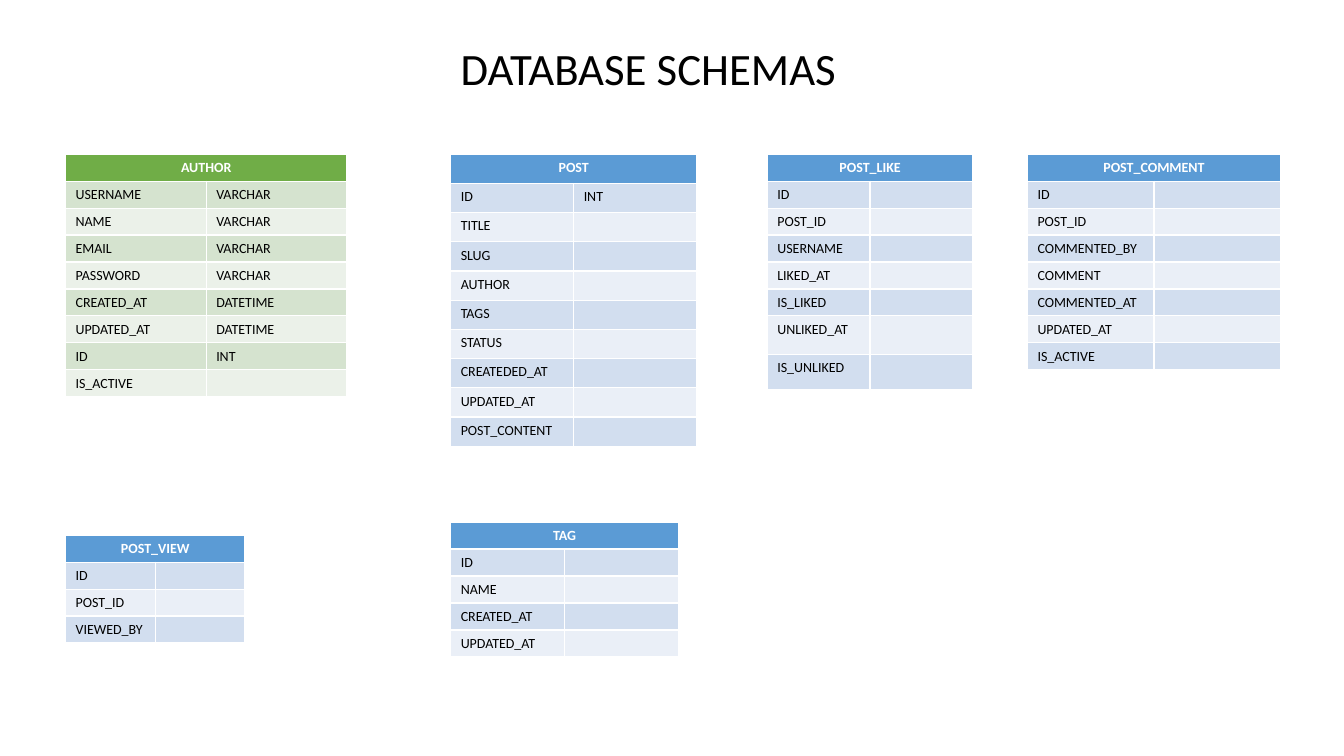
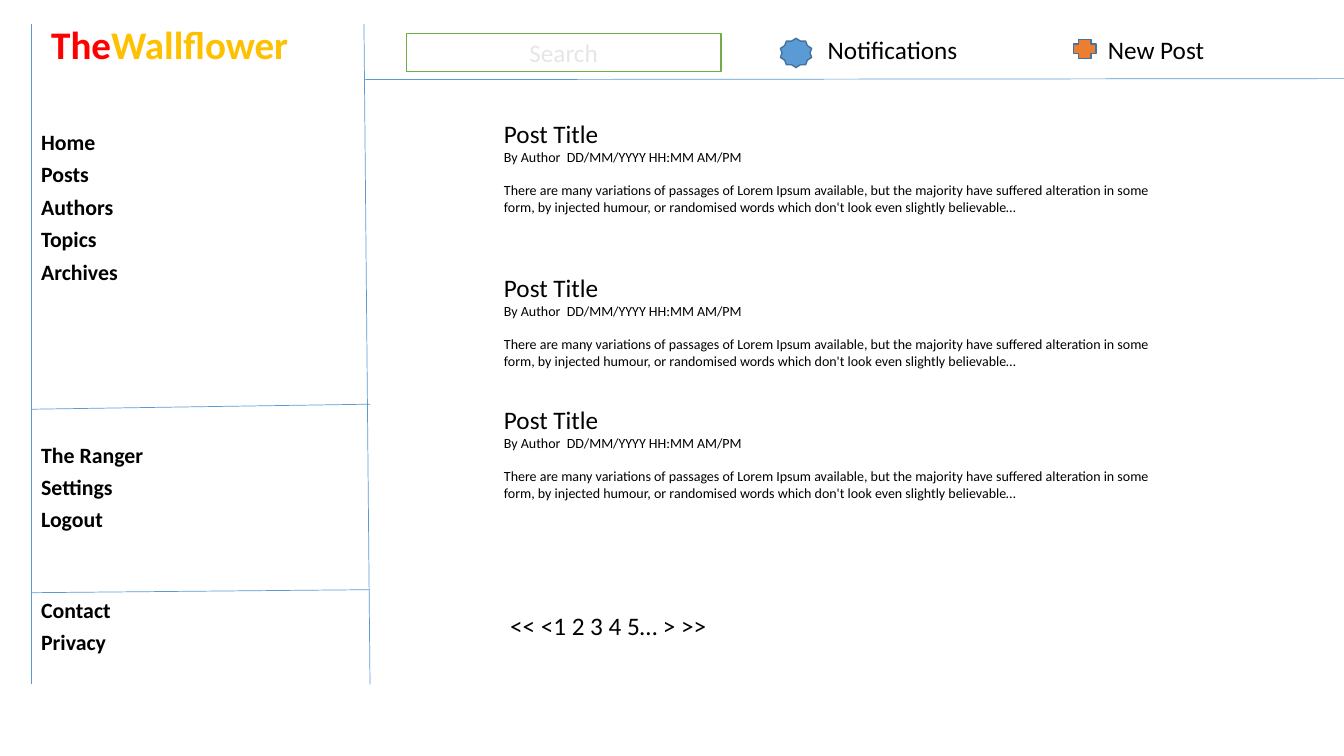
from pptx import Presentation
from pptx.dml.color import RGBColor as RGB
from pptx.enum.shapes import MSO_CONNECTOR as CONN, MSO_SHAPE as SHAPE
from pptx.enum.text import PP_ALIGN as ALIGN
from pptx.oxml.ns import qn
from pptx.util import Inches, Pt
from lxml import etree

FONT = "Calibri"
BLACK = RGB(0x00, 0x00, 0x00)
WHITE = RGB(0xFF, 0xFF, 0xFF)
BLUE = RGB(0x5B, 0x9B, 0xD5)
NAVY = RGB(0x43, 0x73, 0x9E)
GREEN = RGB(0x70, 0xAD, 0x47)
ORANGE = RGB(0xED, 0x7D, 0x31)
RED = RGB(0xFF, 0x00, 0x00)
GOLD = RGB(0xFF, 0xC0, 0x00)
GRAY = RGB(0xE7, 0xE6, 0xE6)
# Header, odd row, even row
BLUES = (BLUE, RGB(0xD2, 0xDE, 0xEF), RGB(0xEA, 0xEF, 0xF7))
GREENS = (GREEN, RGB(0xD5, 0xE3, 0xCF), RGB(0xEB, 0xF1, 0xE9))


def style(para, size, color=BLACK, bold=False):
    font = para.font
    font.name, font.size, font.bold = FONT, Pt(size), bold
    font.color.rgb = color


def write(slide, x, y, w, h, lines, size, bold=False):
    box = slide.shapes.add_textbox(Inches(x), Inches(y), Inches(w), Inches(h))
    frame = box.text_frame
    frame.word_wrap = True
    frame.text = "\n".join(lines)
    for para in frame.paragraphs:
        style(para, size, bold=bold)
    return frame.paragraphs


prs = Presentation()
prs.slide_width, prs.slide_height = Inches(13.33), Inches(7.5)
blank = prs.slide_layouts[6]

# Slide 1: database schemas
slide = prs.slides.add_slide(blank)
write(slide, 4.47, 0.35, 5.05, 1.18, ["DATABASE SCHEMAS"], 32)

# Name, left, top, width, row height, colours, fields, types
schemas = [
    ("AUTHOR", 0.65, 1.53, 2.79, 0.26, GREENS,
     "USERNAME NAME EMAIL PASSWORD CREATED_AT UPDATED_AT ID IS_ACTIVE",
     "VARCHAR VARCHAR VARCHAR VARCHAR DATETIME DATETIME INT"),
    ("POST", 4.47, 1.53, 2.44, 0.29, BLUES,
     "ID TITLE SLUG AUTHOR TAGS STATUS CREATEDED_AT UPDATED_AT POST_CONTENT",
     "INT"),
    ("POST_VIEW", 0.65, 5.31, 1.78, 0.26, BLUES, "ID POST_ID VIEWED_BY", ""),
    ("POST_LIKE", 7.61, 1.53, 2.04, 0.26, BLUES,
     "ID POST_ID USERNAME LIKED_AT IS_LIKED UNLIKED_AT IS_UNLIKED", ""),
    ("POST_COMMENT", 10.19, 1.53, 2.51, 0.26, BLUES,
     "ID POST_ID COMMENTED_BY COMMENT COMMENTED_AT UPDATED_AT IS_ACTIVE", ""),
    ("TAG", 4.47, 5.18, 2.26, 0.26, BLUES,
     "ID NAME CREATED_AT UPDATED_AT", ""),
]
tall = {"UNLIKED_AT": 0.38, "IS_UNLIKED": 0.35}

for name, x, y, w, high, fills, fields, types in schemas:
    fields, types = fields.split(), types.split()
    types += [""] * (len(fields) - len(types))
    rows = [(name, "")] + list(zip(fields, types))
    table = slide.shapes.add_table(
        len(rows), 2, Inches(x), Inches(y), Inches(w),
        Inches(high * len(rows))).table
    table.cell(0, 0).merge(table.cell(0, 1))
    for i, row in enumerate(rows):
        table.rows[i].height = Inches(tall.get(row[0], high))
        for j, text in enumerate(row):
            cell = table.cell(i, j)
            cell.fill.solid()
            cell.fill.fore_color.rgb = fills[0 if i == 0 else 2 - i % 2]
            cell.text = text
            para = cell.text_frame.paragraphs[0]
            style(para, 10, BLACK if i else WHITE, i == 0)
            if i == 0:
                para.alignment = ALIGN.CENTER
            if not text:  # keeps empty cells as low as filled ones
                etree.SubElement(para._p, qn("a:endParaRPr"), sz="1000")

# Slide 2: blog home page
slide = prs.slides.add_slide(blank)

# Frame lines
for x1, y1, x2, y2 in [
    (3.61, 0.24, 3.67, 6.79),
    (0.31, 4.06, 3.67, 4.01),
    (0.32, 5.88, 3.67, 5.85),
    (3.62, 0.79, 13.33, 0.78),
    (0.31, 0.24, 0.31, 6.79),
]:
    line = slide.shapes.add_connector(
        CONN.STRAIGHT, Inches(x1), Inches(y1), Inches(x2), Inches(y2))
    line.line.color.rgb, line.line.width = BLUE, Pt(0.5)
    etree.SubElement(line._element.spPr, qn("a:effectLst"))

# Site name
site = write(slide, 0.41, 0.28, 3.1, 0.45, [""], 27.9, True)[0]
site.line_spacing = 0.7
for text, color in [("The", RED), ("Wallflower", GOLD)]:
    run = site.add_run()
    run.text = text
    run.font.color.rgb = color

# Side menus
for y, items in [
    (1.3, ["Home", "Posts", "Authors", "Topics", "Archives"]),
    (4.4, ["The Ranger", "Settings", "Logout"]),
    (5.94, ["Contact", "Privacy"]),
]:
    menu = write(slide, 0.31, y, 3.2, 0.32 * len(items), items, 15.6, True)
    for i, para in enumerate(menu):
        para.line_spacing = 0.7
        para.space_before = Pt(10 if i else 0)

# Search box and icons
for kind, x, y, w, h, fill, edge in [
    (SHAPE.RECTANGLE, 4.03, 0.33, 3.12, 0.38, WHITE, GREEN),
    (SHAPE.STAR_10_POINT, 7.74, 0.38, 0.31, 0.29, BLUE, NAVY),
    (SHAPE.CROSS, 10.65, 0.39, 0.22, 0.19, ORANGE, NAVY),
]:
    shape = slide.shapes.add_shape(
        kind, Inches(x), Inches(y), Inches(w), Inches(h))
    shape.shadow.inherit = False
    shape.fill.solid()
    shape.fill.fore_color.rgb = fill
    shape.line.color.rgb, shape.line.width = edge, Pt(1)
    if kind == SHAPE.RECTANGLE:
        shape.text_frame.text = "Search"
        para = shape.text_frame.paragraphs[0]
        style(para, 18, GRAY)
        para.alignment = ALIGN.CENTER

write(slide, 8.11, 0.29, 1.5, 0.4, ["Notifications"], 18)
write(slide, 10.89, 0.29, 1.5, 0.4, ["New Post"], 18)

# Posts
post = [
    "Post Title",
    "By Author  DD/MM/YYYY HH:MM AM/PM",
    "There are many variations of passages of Lorem Ipsum available, but the "
    "majority have suffered alteration in some form, by injected humour, or "
    "randomised words which don't look even slightly believable…",
]
for y in (1.12, 2.65, 3.96):
    head, by, body = write(slide, 4.9, y, 6.62, 1.41, post, 10)
    head.font.size = Pt(18)
    body.space_before = Pt(12)

# Page numbers
write(slide, 4.96, 6.01, 6.62, 0.4, ["<< <1 2 3 4 5… > >>"], 18)

prs.save("out.pptx")
